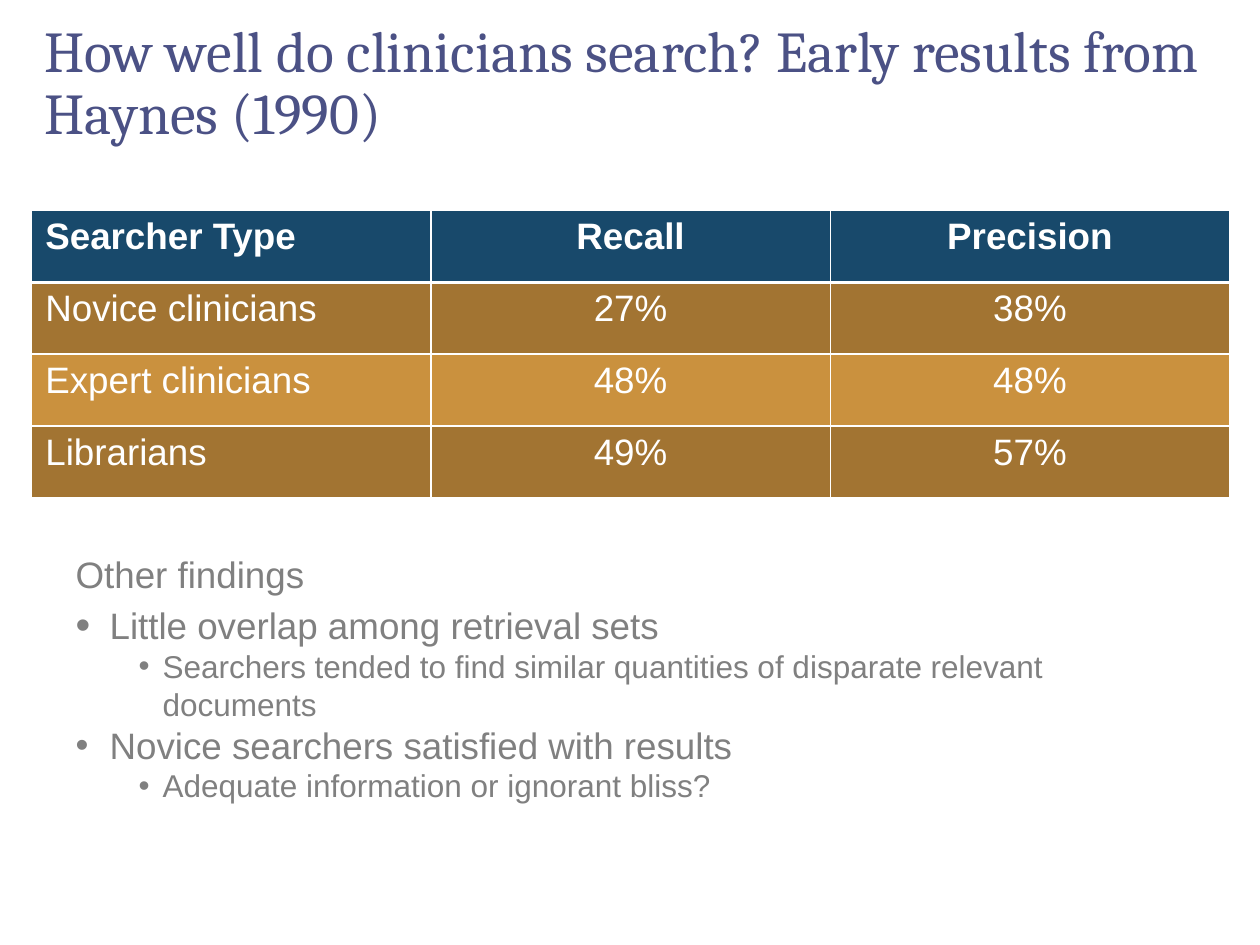
from lxml.etree import SubElement
from pptx import Presentation
from pptx.dml.color import RGBColor
from pptx.enum.text import MSO_ANCHOR as Anchor, MSO_AUTO_SIZE as AutoSize, PP_ALIGN as Align
from pptx.oxml import parse_xml
from pptx.oxml.ns import nsdecls, qn
from pptx.util import Inches, Pt

THEME = {
    "title": {"name": "Cambria", "size": Pt(33), "color": "4B5185"},
    "header": {"name": "Arial", "size": Pt(21), "color": "FFFFFF", "bold": True},
    "cell": {"name": "Arial", "size": Pt(21), "color": "FFFFFF", "bold": False},
    "finding": {"name": "Arial", "size": Pt(21), "color": "808080"},
    "detail": {"name": "Arial", "size": Pt(18), "color": "808080"},
    "header_fill": "18496B",
    "band_fills": ["CA913E", "A27432"],
    "rule": "FFFFFF",
}


def add_text(paragraph, text, style):
    font = paragraph.add_run().font
    paragraph.runs[0].text = text
    for name, value in THEME[style].items():
        if name == "color":
            font.color.rgb = RGBColor.from_string(value)
        else:
            setattr(font, name, value)


def place(shape, left, top, width, height):
    """Position a shape by shares of the slide's size."""
    shape.left, shape.width = (int(presentation.slide_width * share) for share in (left, width))
    shape.top, shape.height = (int(presentation.slide_height * share) for share in (top, height))


presentation = Presentation()
presentation.slide_width, presentation.slide_height = Inches(10), Inches(7.5)
slide = presentation.slides.add_slide(presentation.slide_layouts[1])

# Title
title = slide.shapes.title
place(title, 0.025, 0.023, 0.95, 0.133)
frame_format = {"auto_size": AutoSize.NONE, "word_wrap": True, "vertical_anchor": Anchor.MIDDLE}
for name, value in frame_format.items():
    setattr(title.text_frame, name, value)
paragraph = title.text_frame.paragraphs[0]
paragraph.alignment, paragraph.line_spacing = Align.LEFT, 0.9
add_text(paragraph, "How well do clinicians search? Early results from Haynes (1990)", "title")

# Results table
results = [
    ("Searcher Type", "Recall", "Precision"),
    ("Novice clinicians", "27%", "38%"),
    ("Expert clinicians", "48%", "48%"),
    ("Librarians", "49%", "57%"),
]
row_height = Inches(0.57)
table_frame = slide.shapes.add_table(
    len(results), len(results[0]), Inches(0.25), Inches(1.67), Inches(9.51), row_height * len(results))
cell_margins = {
    "margin_left": Inches(0.11), "margin_right": Inches(0.11),
    "margin_top": Inches(0.05), "margin_bottom": Inches(0.05),
}
for row, values in enumerate(results):
    for column, value in enumerate(values):
        cell = table_frame.table.cell(row, column)
        for name, margin in cell_margins.items():
            setattr(cell, name, margin)
        fill = THEME["band_fills"][row % 2] if row else THEME["header_fill"]
        cell.fill.solid()
        cell.fill.fore_color.rgb = RGBColor.from_string(fill)
        paragraph = cell.text_frame.paragraphs[0]
        paragraph.alignment = Align.CENTER if column else Align.LEFT
        add_text(paragraph, value, "cell" if row else "header")
        if row == 0:  # white rule under the header
            cell._tc.get_or_add_tcPr().insert(0, parse_xml(
                f'<a:lnB {nsdecls("a")} w="{Pt(2)}"><a:solidFill>'
                f'<a:srgbClr val="{THEME["rule"]}"/></a:solidFill></a:lnB>'))

# Findings list: text, level, text indent, hanging bullet, space before, bullet scale
findings = [
    ("Other findings", 0, 0, 0, 0, 100),
    ("Little overlap among retrieval sets", 0, 0.27, 0.27, 4, 114),
    ("Searchers tended to find similar quantities of disparate relevant documents", 1, 0.69, 0.19, 0, 100),
    ("Novice searchers satisfied with results", 0, 0.27, 0.27, 0, 100),
    ("Adequate information or ignorant bliss?", 1, 0.69, 0.19, 0, 100),
]
body = slide.placeholders[1]
place(body, 0.05, 0.577, 0.875, 0.29)
body.text_frame.auto_size = AutoSize.NONE
for index, (text, level, indent, hanging, space, scale) in enumerate(findings):
    paragraph = body.text_frame.add_paragraph() if index else body.text_frame.paragraphs[0]
    paragraph_format = {"level": level, "space_before": Pt(space), "space_after": Pt(0), "line_spacing": 1.0}
    for name, value in paragraph_format.items():
        setattr(paragraph, name, value)
    add_text(paragraph, text, "detail" if level else "finding")
    properties = paragraph._p.get_or_add_pPr()
    properties.set("marL", str(Inches(indent)))
    properties.set("indent", str(-Inches(hanging)))
    if hanging:
        SubElement(properties, qn("a:buSzPct")).set("val", str(scale * 1000))
        SubElement(properties, qn("a:buFont")).set("typeface", "Arial")
        SubElement(properties, qn("a:buChar")).set("char", "•")
    else:
        SubElement(properties, qn("a:buNone"))

presentation.save("out.pptx")
